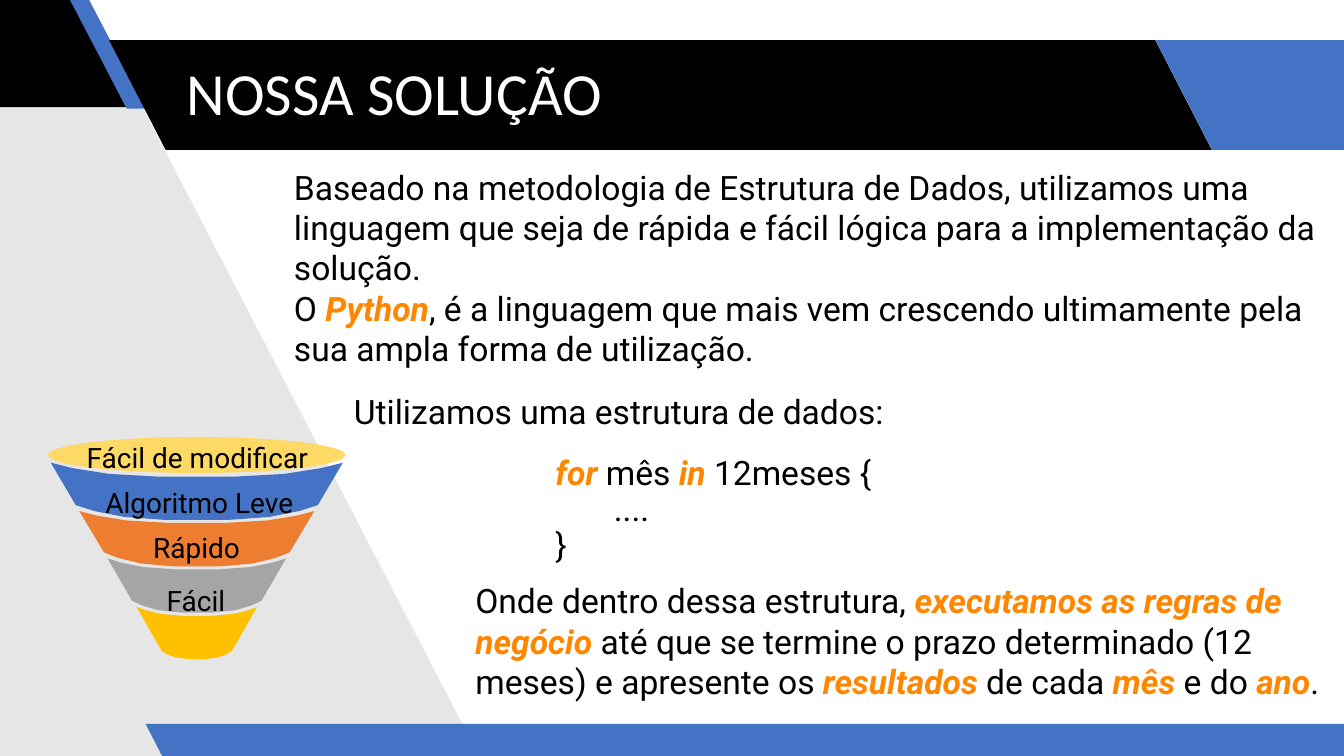
import pptx
import pptx.util
import pptx.dml.color
import pptx.enum.shapes
import pptx.enum.text

Cm = pptx.util.Cm
RGBColor = pptx.dml.color.RGBColor
Shape = pptx.enum.shapes.MSO_SHAPE
Align = pptx.enum.text.PP_ALIGN
Anchor = pptx.enum.text.MSO_ANCHOR
AutoSize = pptx.enum.text.MSO_AUTO_SIZE

BLACK = RGBColor(0x00, 0x00, 0x00)
WHITE = RGBColor(0xFF, 0xFF, 0xFF)
PALE_GREY = RGBColor(0xE7, 0xE6, 0xE6)
BLUE = RGBColor(0x44, 0x72, 0xC4)
ORANGE = RGBColor(0xED, 0x7D, 0x31)
GREY = RGBColor(0xA5, 0xA5, 0xA5)
GOLD = RGBColor(0xFF, 0xC0, 0x00)
PALE_GOLD = RGBColor(0xFF, 0xD9, 0x66)
ACCENT = RGBColor(0xFF, 0x87, 0x00)


def paint(shape, color):
    shape.fill.solid()
    shape.fill.fore_color.rgb = color
    shape.line.fill.background()
    shape.shadow.inherit = False


def write_text(box, lines, size=24, font="Roboto", color=BLACK, align=Align.LEFT,
               spacing=1.0, inset=0.33, wrap=True, anchor=Anchor.TOP):
    """Fill a box with one paragraph per line; parts between asterisks are emphasised."""
    frame = box.text_frame
    frame.word_wrap = wrap
    frame.auto_size = AutoSize.NONE if wrap else AutoSize.SHAPE_TO_FIT_TEXT
    frame.vertical_anchor = anchor
    frame.margin_left = frame.margin_right = Cm(0.33)
    frame.margin_top = frame.margin_bottom = Cm(inset)
    for number, line in enumerate(lines):
        para = frame.add_paragraph() if number else frame.paragraphs[0]
        para.alignment = align
        para.line_spacing = spacing
        for part, words in enumerate(line.split("*")):
            if not words:
                continue
            span = para.add_run()
            span.text = words
            emphasised = part % 2 == 1
            span.font.name = font
            span.font.size = pptx.util.Pt(size)
            span.font.bold = span.font.italic = emphasised
            span.font.color.rgb = ACCENT if emphasised else color


deck = pptx.Presentation()
deck.slide_width = Cm(33.87)
deck.slide_height = Cm(19.05)
page = deck.slides.add_slide(deck.slide_layouts[5])
shapes = page.shapes

# Background panel and slanted bars
outline = shapes.build_freeform(Cm(12.07), Cm(19.05), scale=1.0)
outline.add_line_segments([(Cm(2.11), Cm(-0.15)), (Cm(-0.2), Cm(-0.13)),
                           (Cm(-0.08), Cm(19.18))], close=True)
paint(outline.convert_to_shape(), PALE_GREY)

bars = [
    (-3.35, -0.07, 6.53, 2.77, 0.515, BLACK),
    (1.75, -0.03, 1.93, 2.77, 0.75, BLUE),
    (2.75, 1.01, 27.79, 2.77, 0.515, BLACK),
    (29.12, 1.01, 6.53, 2.77, 0.515, BLUE),
    (3.67, 18.24, 30.99, 0.84, 0.515, BLUE),
]
for left, top, width, height, slant, color in bars:
    bar = shapes.add_shape(Shape.PARALLELOGRAM, Cm(left), Cm(top), Cm(width), Cm(height))
    bar.adjustments[0] = slant
    bar._element.spPr.xfrm.set("flipH", "1")
    paint(bar, color)

# Title, brought in front of the bars
title = shapes.title
shapes._spTree.append(title._element)
title.left, title.top, title.width, title.height = Cm(4.37), Cm(0.95), Cm(15.9), Cm(2.62)
write_text(title, ["NOSSA SOLUÇÃO"], size=42.7, font="Calibri", color=WHITE,
           spacing=0.9, anchor=Anchor.BOTTOM)

intro = shapes.add_textbox(Cm(7.08), Cm(3.87), Cm(26.8), Cm(5.97))
write_text(intro, [
    "Baseado na metodologia de Estrutura de Dados, utilizamos uma linguagem que seja "
    "de rápida e fácil lógica para a implementação da solução.",
    "O *Python*, é a linguagem que mais vem crescendo ultimamente pela sua ampla forma "
    "de utilização.",
])

# Funnel: each band has two curved edges (half width, height of the ends, sag)
rim = shapes.add_shape(Shape.OVAL, Cm(1.21), Cm(11.01), Cm(7.49), Cm(0.91))
paint(rim, PALE_GOLD)

FUNNEL_CENTRE = 4.96
EDGE_STEPS = (-1, -0.85, -0.6, -0.25, 0.25, 0.6, 0.85, 1)
bands = [
    ((1.52, 15.29, 0.23), (0.88, 16.41, 0.20), GOLD),
    ((2.25, 14.07, 0.28), (1.63, 15.14, 0.30), GREY),
    ((3.68, 11.66, 0.36), (3.05, 12.73, 0.38), BLUE),
    ((2.96, 12.88, 0.30), (2.34, 13.92, 0.36), ORANGE),
]
for upper, lower, color in bands:
    points = []
    for (half_width, end_height, sag), direction in ((upper, 1), (lower, -1)):
        for step in EDGE_STEPS:
            points.append((Cm(FUNNEL_CENTRE + half_width * step * direction),
                           Cm(end_height + sag * (1 - abs(step) ** 3))))
    outline = shapes.build_freeform(*points[0], scale=1.0)
    outline.add_line_segments(points[1:], close=True)
    paint(outline.convert_to_shape(), color)

labels = [
    ("Algoritmo Leve", 1.34, 12.05, 7.37, 1.73),
    ("Fácil de modificar", 1.29, 10.92, 7.37, 1.73),
    ("Fácil", 1.37, 14.53, 7.14, 1.52),
    ("Rápido", 1.27, 13.19, 7.37, 1.73),
]
for words, left, top, width, height in labels:
    label = shapes.add_textbox(Cm(left), Cm(top), Cm(width), Cm(height))
    write_text(label, [words], size=20, align=Align.CENTER, inset=0.18, wrap=False)

# Data structure example
example = shapes.add_textbox(Cm(8.59), Cm(9.63), Cm(24.61), Cm(5.31))
write_text(example, ["Utilizamos uma estrutura de dados:", "*for* mês *in* 12meses {",
                     "       ....", "}"], spacing=0.9)
code_lines = example.text_frame.paragraphs[1:]
code_lines[0].space_before = pptx.util.Pt(17.5)
for para in code_lines:
    para._p.get_or_add_pPr().set("marL", str(Cm(5.08)))

conclusion = shapes.add_textbox(Cm(11.65), Cm(14.29), Cm(22.2), Cm(4.65))
write_text(conclusion, [
    "Onde dentro dessa estrutura, *executamos as regras de negócio *até que se termine "
    "o prazo determinado (12 meses) e apresente os *resultados* de cada *mês* e do *ano*.",
])

deck.save("out.pptx")
